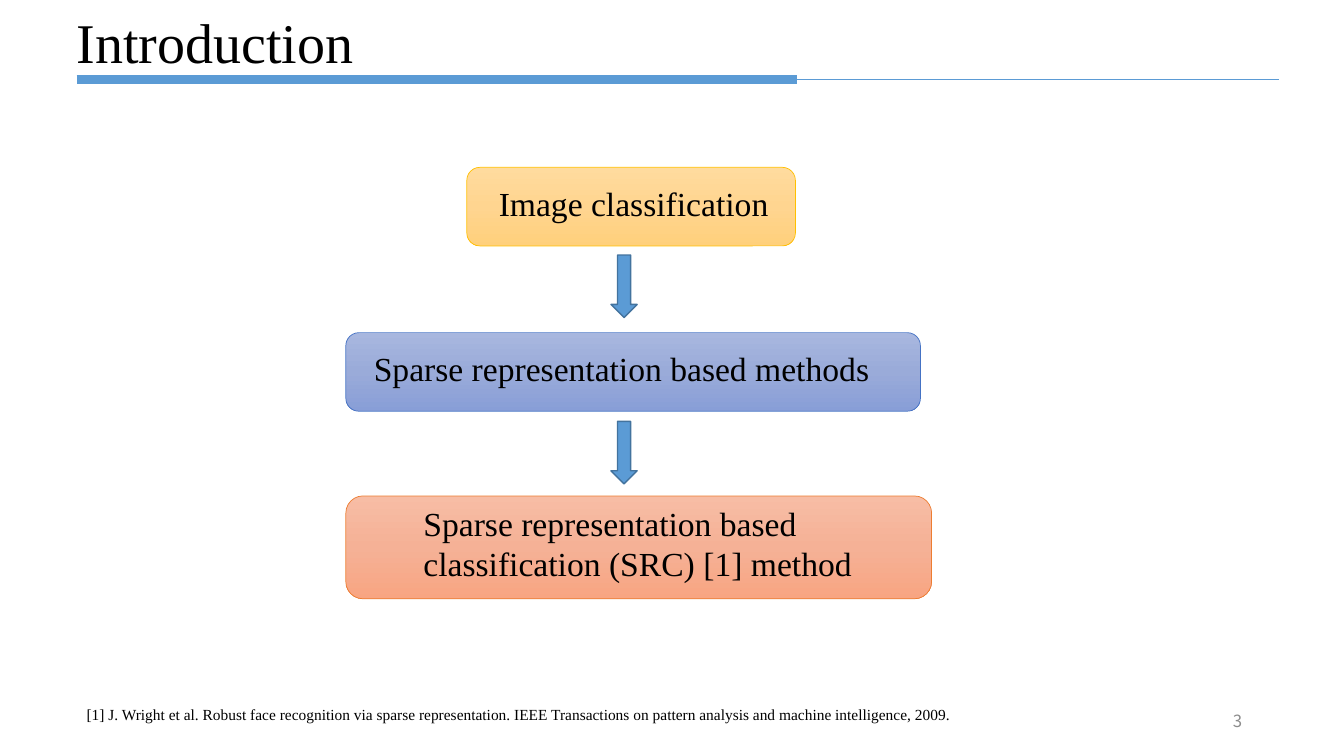
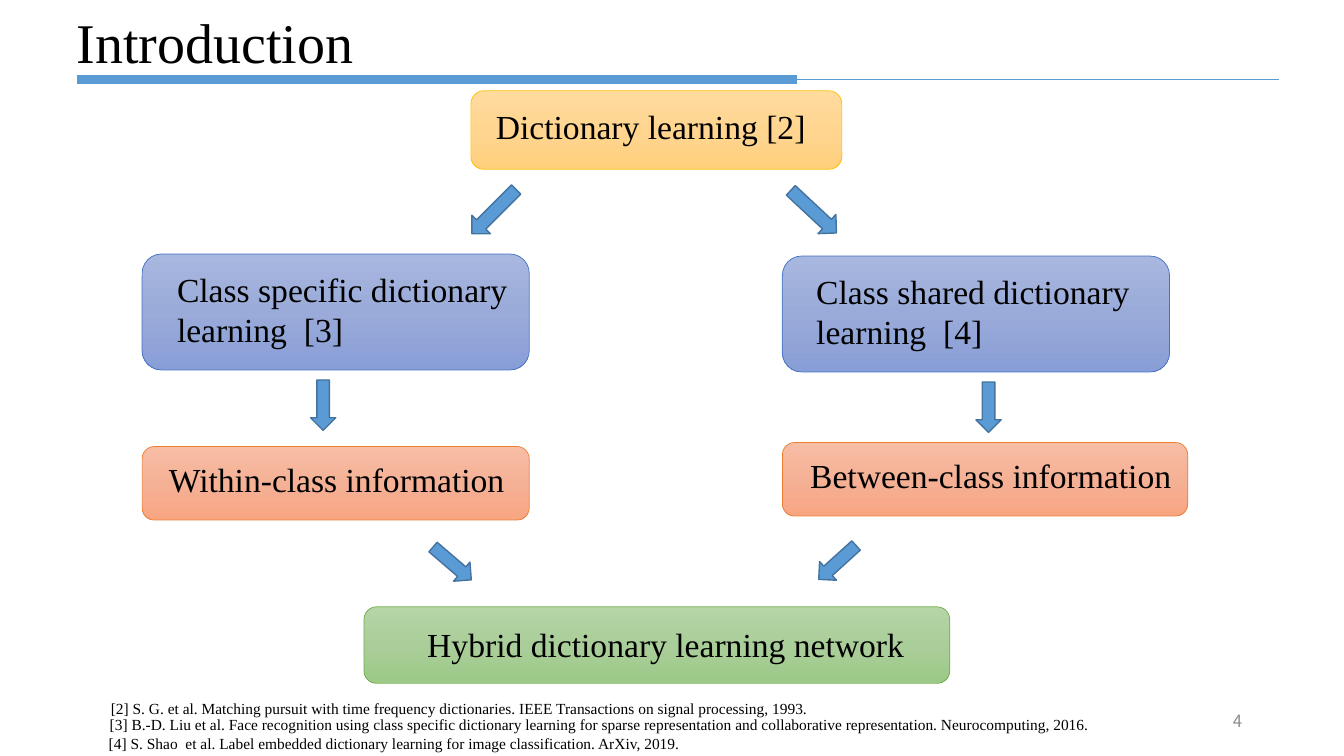
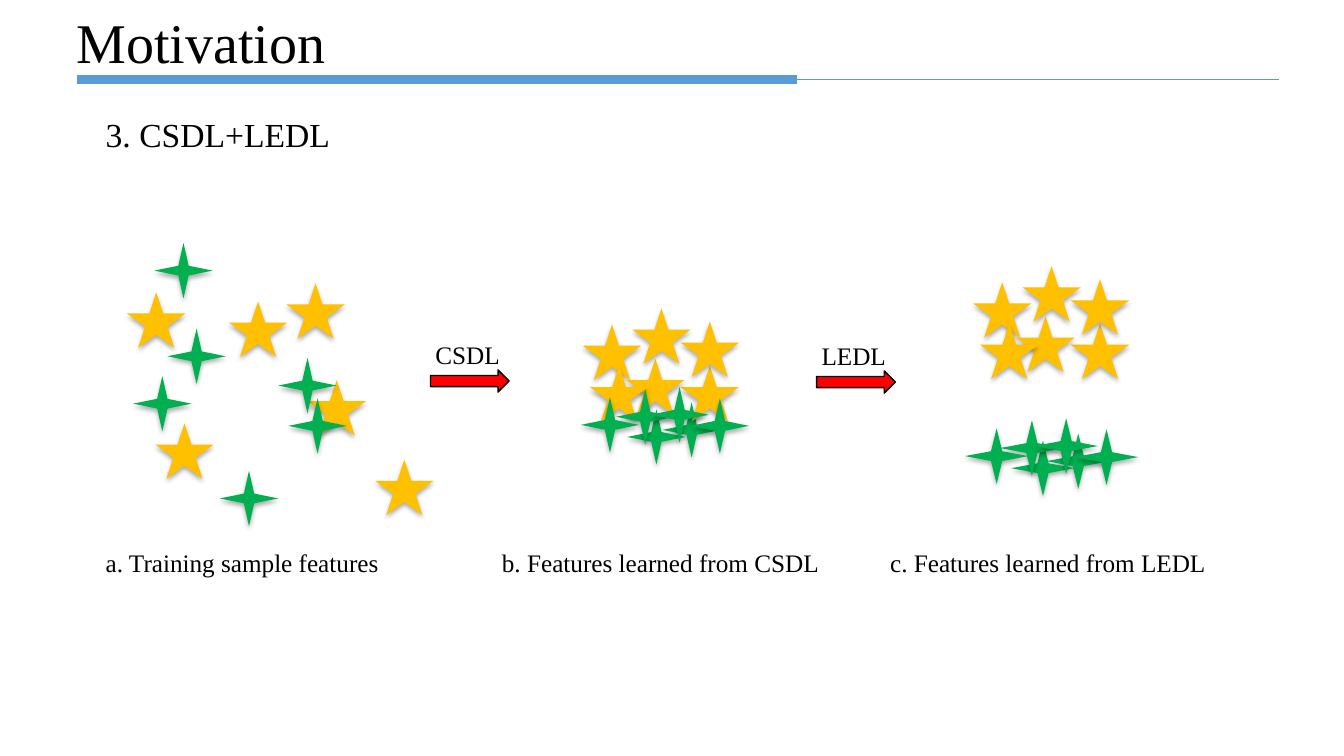
from copy import deepcopy

from lxml import etree
from pptx import Presentation
from pptx import util as u
from pptx.dml.color import RGBColor
from pptx.enum import shapes, text
from pptx.oxml.ns import qn

PX = 9144  # EMU per px, 100 px to the inch
SERIF, SANS = "Times New Roman", "Noto Sans CJK SC"
COLORS = {
    "black": "000000", "grey": "8C8C8C", "blue": "5B9BD5", "blue edge": "43739E",
    "red": "FF0000", "gold": "FFC000", "green": "00B050",
}
BOX_STYLES = {  # edge, then gradient from top to bottom
    "yellow": ("FFC000", ("FFDB9E", "FFD590", "FFD07C")),
    "indigo": ("4472C4", ("A8B7DF", "9AABD9", "889ED7")),
    "orange": ("ED7D31", ("F7BDA5", "F5B196", "F8A582")),
    "lime": ("70AD47", ("B5D5A7", "AACE9A", "9CC987")),
}
TITLE_AT = (76, 2, 549, 77)
NUMBER_AT = (942, 695, 300, 40)
RULES = [((76, 790), 6), ((790, 1269), 0.5)]  # left and right end, width in points
RULE_Y = 79

# boxes: style, place, offset of the text from the box, text
# arrows: place, rotation
# notes: place, text
FLOWS = [
    {
        "title": "Introduction", "number": "3",
        "boxes": [
            ("yellow", (463, 166, 326, 78), (22, 11), "Image classification"),
            ("indigo", (343, 330, 570, 78), (18, 10), "Sparse representation based methods"),
            ("orange", (343, 492, 581, 102), (67, 2),
             "Sparse representation based classification (SRC) [1] method"),
        ],
        "arrows": [((606, 253, 26, 62), 0), ((606, 418, 26, 62), 0)],
        "notes": [
            ((76, 695, 945, 29),
             "[1] J. Wright et al. Robust face recognition via sparse representation. "
             "IEEE Transactions on pattern analysis and machine intelligence, 2009."),
        ],
    },
    {
        "title": "Introduction", "number": "4",
        "boxes": [
            ("yellow", (467, 90, 368, 78), (15, 10), "Dictionary learning [2]"),
            ("indigo", (141, 252, 384, 115), (25, 10), "Class specific dictionary learning  [3]"),
            ("indigo", (776, 254, 384, 115), (24, 10), "Class shared dictionary learning  [4]"),
            ("orange", (141, 443, 384, 73), (17, 8), "Within-class information"),
            ("orange", (776, 439, 402, 73), (18, 8), "Between-class information"),
            ("lime", (361, 602, 581, 76), (53, 12), "Hybrid dictionary learning network"),
        ],
        "arrows": [
            ((477, 179, 26, 62), 45), ((794, 179, 26, 62), 313),
            ((308, 377, 25, 50), 0), ((968, 379, 25, 50), 0),
            ((436, 534, 25, 50), 310.6), ((818, 533, 25, 50), 47.8),
        ],
        "notes": [
            ((100, 689, 719, 29),
             "[2] S. G. et al. Matching pursuit with time frequency dictionaries. "
             "IEEE Transactions on signal processing, 1993."),
            ((99, 705, 1016, 29),
             "[3] B.-D. Liu et al. Face recognition using class specific dictionary learning "
             "for sparse representation and collaborative representation. Neurocomputing, 2016."),
            ((98, 723, 981, 29),
             "[4] S. Shao  et al. Label embedded dictionary learning for image classification. "
             "ArXiv, 2019."),
        ],
    },
]

MOTIVATION = {
    "title": "Motivation",
    "heading": ((95, 108, 280, 50), "3. CSDL+LEDL"),
    "captions": [
        ((95, 538, 311, 40), "a. Training sample features"),
        ((488, 538, 360, 40), "b. Features learned from CSDL"),
        ((873, 538, 369, 40), "c. Features learned from LEDL"),
    ],
    "steps": [((427, 367), "CSDL"), ((810, 368), "LEDL")],
}
STAR_KINDS = {
    "gold": shapes.MSO_SHAPE.STAR_5_POINT,
    "green": shapes.MSO_SHAPE.STAR_4_POINT,
}
SCATTERED_GOLD = [(126, 290), (284, 281), (154, 420), (227, 299), (372, 456), (305, 377)]
SCATTERED_GREEN = [(218, 467), (286, 395), (132, 373), (153, 241), (166, 326), (276, 355)]
CLUSTER_GOLD = [(578, 322), (675, 363), (675, 319), (621, 356), (627, 306), (585, 363)]
CLUSTER_GREEN = [(657, 399), (685, 395), (622, 406), (611, 386), (576, 394), (645, 384)]
STAR_GROUPS = [  # layers from back to front: colour, places, shift, star width
    [("gold", SCATTERED_GOLD, (0, 0), 58), ("green", SCATTERED_GREEN, (0, 0), 58)],
    [("green", CLUSTER_GREEN[:1], (0, 0), 58), ("gold", CLUSTER_GOLD, (0, 0), 58),
     ("green", CLUSTER_GREEN[1:], (0, 0), 58)],
    [("gold", CLUSTER_GOLD, (387, -42), 58), ("green", CLUSTER_GREEN, (381, 31), 63)],
]
STAR_HEIGHT = 55


def emu(*lengths):
    return [u.Emu(length * PX) for length in lengths]


def rgb(name):
    return RGBColor.from_string(COLORS.get(name, name))


def write(shape, words, size, font=SERIF, color="black", align=text.PP_ALIGN.LEFT, **frame_format):
    frame = shape.text_frame
    frame.text = words
    settings = {"word_wrap": True, "auto_size": text.MSO_AUTO_SIZE.NONE,
                "vertical_anchor": text.MSO_ANCHOR.TOP, **frame_format}
    for name, value in settings.items():
        setattr(frame, name, value)
    paragraph = frame.paragraphs[0]
    paragraph.alignment = align
    run_font = paragraph.runs[0].font
    run_font.name, run_font.size = font, u.Pt(size)
    run_font.color.rgb = rgb(color)


def add_label(parent, place, words, size):
    write(parent.add_textbox(*emu(*place)), words, size)


def add_figure(parent, kind, place, fill=None, edge=None, width=1):
    shape = parent.add_shape(kind, *emu(*place))
    shape.shadow.inherit = False
    if fill:
        shape.fill.solid()
        shape.fill.fore_color.rgb = rgb(fill)
    if edge:
        shape.line.color.rgb = rgb(edge)
        shape.line.width = u.Pt(width)
    else:
        shape.line.fill.background()
    return shape


def add_box(slide, style, place, offset, words):
    edge, gradient = BOX_STYLES[style]
    box = add_figure(slide.shapes, shapes.MSO_SHAPE.ROUNDED_RECTANGLE, place, edge=edge, width=0.5)
    box.fill.gradient()
    box.fill.gradient_angle = 270
    stop_list = box.element.spPr.find(qn("a:gradFill")).find(qn("a:gsLst"))
    stop_list.insert(1, deepcopy(stop_list[0]))
    for stop, position, color in zip(box.fill.gradient_stops, (0, 0.5, 1), gradient):
        stop.position = position
        stop.color.rgb = rgb(color)
    corner = round(place[3] * 0.05)  # room the rounded corners already take
    left, top = emu(offset[0] + 10 - corner, offset[1] + 5 - corner)
    write(box, words, 24, margin_left=left, margin_top=top, margin_right=0, margin_bottom=0)


def add_soft_shadow(shape):
    effects = shape.element.spPr.find(qn("a:effectLst"))
    shadow = etree.SubElement(effects, qn("a:outerShdw"), blurRad=str(u.Pt(3.5)),
                              dist=str(u.Pt(2.2)), dir="5400000", rotWithShape="0")
    color = etree.SubElement(shadow, qn("a:srgbClr"), val=COLORS["black"])
    etree.SubElement(color, qn("a:alpha"), val="32000")


def add_rules(slide):
    for (left, right), width in RULES:
        rule = slide.shapes.add_connector(shapes.MSO_CONNECTOR.STRAIGHT,
                                          *emu(left, RULE_Y, right, RULE_Y))
        rule.line.color.rgb = rgb("blue")
        rule.line.width = u.Pt(width)
        etree.SubElement(rule.element.spPr, qn("a:effectLst"))


def add_slide(presentation, title, number=None):
    layout = presentation.slide_layouts[5]
    slide = presentation.slides.add_slide(layout)
    add_rules(slide)
    heading = slide.shapes.title
    heading.left, heading.top, heading.width, heading.height = emu(*TITLE_AT)
    write(heading, title, 40, margin_left=0, margin_right=0)
    if number:
        source = next(holder for holder in layout.placeholders
                      if holder.placeholder_format.type == shapes.PP_PLACEHOLDER.SLIDE_NUMBER)
        slide.shapes.element.append(deepcopy(source.element))
        holder = list(slide.shapes)[-1]
        holder.left, holder.top, holder.width, holder.height = emu(*NUMBER_AT)
        write(holder, number, 12, SANS, "grey", text.PP_ALIGN.RIGHT,
              vertical_anchor=text.MSO_ANCHOR.MIDDLE)
    return slide


def build_flow(presentation, flow):
    slide = add_slide(presentation, flow["title"], flow["number"])
    for box in flow["boxes"]:
        add_box(slide, *box)
    for place, rotation in flow["arrows"]:
        arrow = add_figure(slide.shapes, shapes.MSO_SHAPE.DOWN_ARROW, place, "blue", "blue edge")
        arrow.rotation = rotation
    for place, words in flow["notes"]:
        add_label(slide.shapes, place, words, 11)


def build_motivation(presentation):
    slide = add_slide(presentation, MOTIVATION["title"])
    add_label(slide.shapes, *MOTIVATION["heading"], 24)
    for layers in STAR_GROUPS:
        group = slide.shapes.add_group_shape().shapes
        for color, places, (dx, dy), width in layers:
            for x, y in places:
                place = (x + dx, y + dy, width, STAR_HEIGHT)
                add_soft_shadow(add_figure(group, STAR_KINDS[color], place, color))
    for (x, y), words in MOTIVATION["steps"]:
        group = slide.shapes.add_group_shape().shapes
        add_figure(group, shapes.MSO_SHAPE.RIGHT_ARROW, (x, y, 78, 22), "red", "black")
        add_label(group, (x - 5, y - 35, 88, 40), words, 18)
    for place, words in MOTIVATION["captions"]:
        add_label(slide.shapes, place, words, 18)


def main():
    presentation = Presentation()
    presentation.slide_width, presentation.slide_height = u.Inches(13.33), u.Inches(7.5)
    for flow in FLOWS:
        build_flow(presentation, flow)
    build_motivation(presentation)
    presentation.save("out.pptx")


if __name__ == "__main__":
    main()
